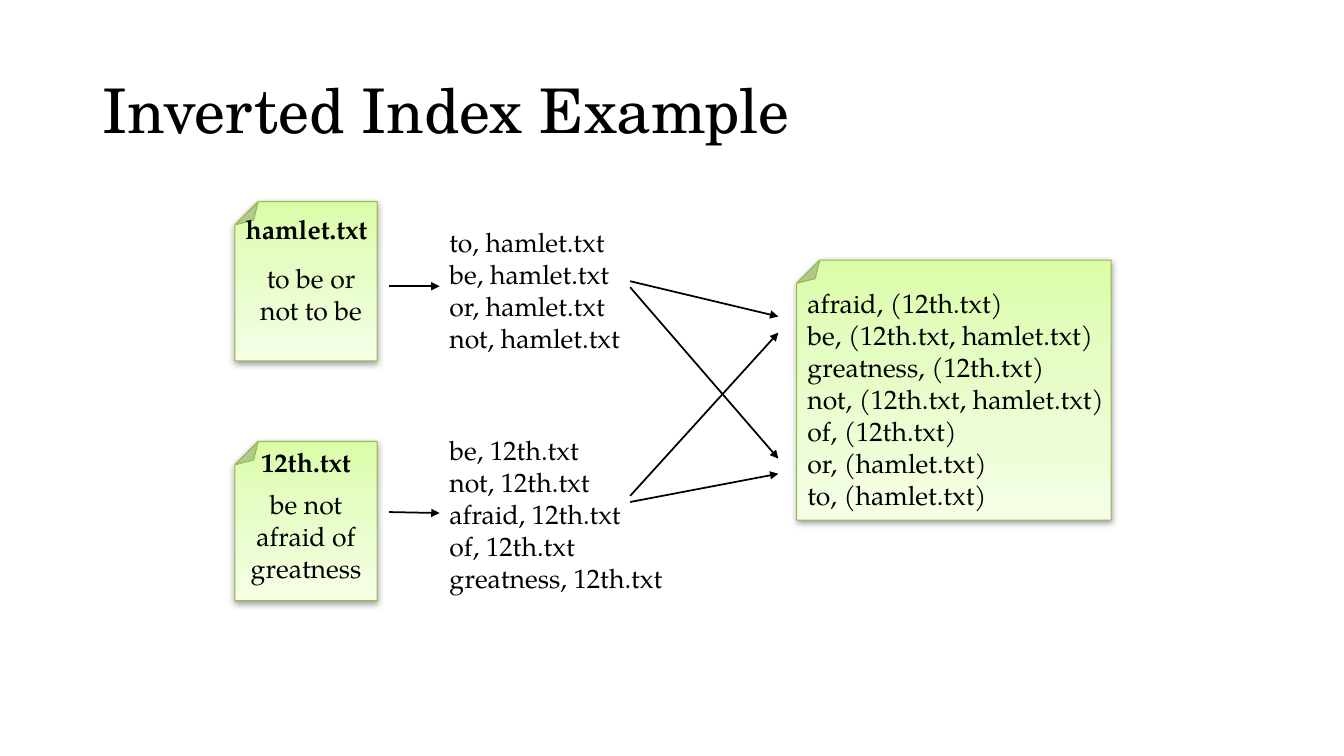
"""Builds the inverted index example slide."""
from lxml import etree
from pptx import Presentation
from pptx.dml.color import RGBColor
from pptx.enum.shapes import MSO_CONNECTOR, MSO_SHAPE
from pptx.enum.text import MSO_ANCHOR, PP_ALIGN
from pptx.oxml.ns import qn
from pptx.util import Inches, Pt

LEFT, CENTER = PP_ALIGN.LEFT, PP_ALIGN.CENTER
TOP, MIDDLE = MSO_ANCHOR.TOP, MSO_ANCHOR.MIDDLE
FOLDED, STRAIGHT = MSO_SHAPE.FOLDED_CORNER, MSO_CONNECTOR.STRAIGHT

THEME = {
    "head": "TeX Gyre Schola", "body": "TeX Gyre Pagella",
    "title": 44, "text": 19,
    "ink": "000000", "edge": "98B954",
    "fade": [(0, "F5FFE6"), (65, "E4FDC2"), (100, "DAFDA7")],
}

TITLE = "Inverted Index Example"
FILES = [
    {"page": (2.33, 2, 1.41, 1.58),
     "name": ("hamlet.txt", (2.29, 2.06, 1.5, 0.42)),
     "words": ("to be or not to be", (2.42, 2.55, 1.33, 0.74)),
     "pairs": (["to, hamlet.txt", "be, hamlet.txt", "or, hamlet.txt",
                "not, hamlet.txt"], (4.36, 2.19, 2, 2.02))},
    {"page": (2.33, 4.38, 1.41, 1.58),
     "name": ("12th.txt", (2.33, 4.37, 1.41, 0.42)),
     "words": ("be not afraid of greatness", (2.33, 4.79, 1.41, 1.06)),
     "pairs": (["be, 12th.txt", "not, 12th.txt", "afraid, 12th.txt",
                "of, 12th.txt", "greatness, 12th.txt"],
               (4.36, 4.26, 2.84, 2.34))},
]
INDEX = ["afraid, (12th.txt)", "be, (12th.txt, hamlet.txt)",
         "greatness, (12th.txt)", "not, (12th.txt, hamlet.txt)",
         "of, (12th.txt)", "or, (hamlet.txt)", "to, (hamlet.txt)"]
FOLD = 0.23
MAPS = [(2.84, 2.84), (5.08, 5.09)]
MERGES = [(2.79, 3.14), (2.85, 4.55), (4.98, 4.7), (4.92, 3.3)]


def add_text(slide, text, box, font="body", size="text", bold=False,
             align=LEFT, anchor=TOP, space=None):
    frame = slide.shapes.add_textbox(*map(Inches, box)).text_frame
    frame.word_wrap = True
    frame.vertical_anchor = anchor
    lines = [text] if isinstance(text, str) else text
    for i, line in enumerate(lines):
        para = frame.add_paragraph() if i else frame.paragraphs[0]
        para.alignment = align
        para.line_spacing = space
        run = para.add_run()
        run.text = line
        run.font.name = THEME[font]
        run.font.size = Pt(THEME[size])
        run.font.bold = bold
        run.font.color.rgb = RGBColor.from_string(THEME["ink"])


def add_node(parent, tag, **attrs):
    node = etree.SubElement(parent, qn(tag))
    for key, value in attrs.items():
        node.set(key, str(value))
    return node


def add_page(slide, box):
    page = slide.shapes.add_shape(FOLDED, *map(Inches, box))
    page.rotation = 180
    page.line.color.rgb = RGBColor.from_string(THEME["edge"])
    page.line.width = Pt(0.75)
    page.fill.gradient()
    page.fill.gradient_angle = 270
    page.shadow.inherit = False
    props = page.element.spPr
    ratio = round(FOLD / min(box[2:]) * 100000)
    add_node(props.find(".//" + qn("a:avLst")), "a:gd", name="adj",
             fmla=f"val {ratio}")
    stops = props.find(".//" + qn("a:gsLst"))
    for stop in list(stops):
        stops.remove(stop)
    for spot, code in THEME["fade"]:
        stop = add_node(stops, "a:gs", pos=spot * 1000)
        add_node(stop, "a:srgbClr", val=code)
    shade = add_node(props.find(qn("a:effectLst")), "a:outerShdw",
                     blurRad=int(Pt(5)), dist=int(Pt(1.6)), dir=5400000,
                     rotWithShape=0)
    color = add_node(shade, "a:srgbClr", val=THEME["ink"])
    add_node(color, "a:alpha", val=38000)


def add_arrow(slide, x1, y1, x2, y2):
    arrow = slide.shapes.add_connector(STRAIGHT, *map(Inches, (x1, y1, x2, y2)))
    arrow.line.color.rgb = RGBColor.from_string(THEME["ink"])
    arrow.line.width = Pt(1.25)
    props = arrow.element.spPr
    add_node(props.find(qn("a:ln")), "a:tailEnd", type="triangle")
    add_node(props, "a:effectLst")


def main():
    deck = Presentation()
    deck.slide_width, deck.slide_height = Inches(13.33), Inches(7.5)
    slide = deck.slides.add_slide(deck.slide_layouts[6])
    add_text(slide, TITLE, (0.92, 0.4, 11.5, 1.45), font="head",
             size="title", anchor=MIDDLE, space=0.9)
    for x1, x2, rows in ((3.86, 4.36, MAPS), (6.25, 7.72, MERGES)):
        for y1, y2 in rows:
            add_arrow(slide, x1, y1, x2, y2)
    add_page(slide, (7.9, 2.58, 3.12, 2.58))
    add_text(slide, INDEX, (7.91, 2.8, 3.14, 2.34))
    for file in FILES:
        add_page(slide, file["page"])
        add_text(slide, *file["words"], align=CENTER)
        add_text(slide, *file["name"], align=CENTER, bold=True)
        add_text(slide, *file["pairs"])
    deck.save("out.pptx")


if __name__ == "__main__":
    main()
